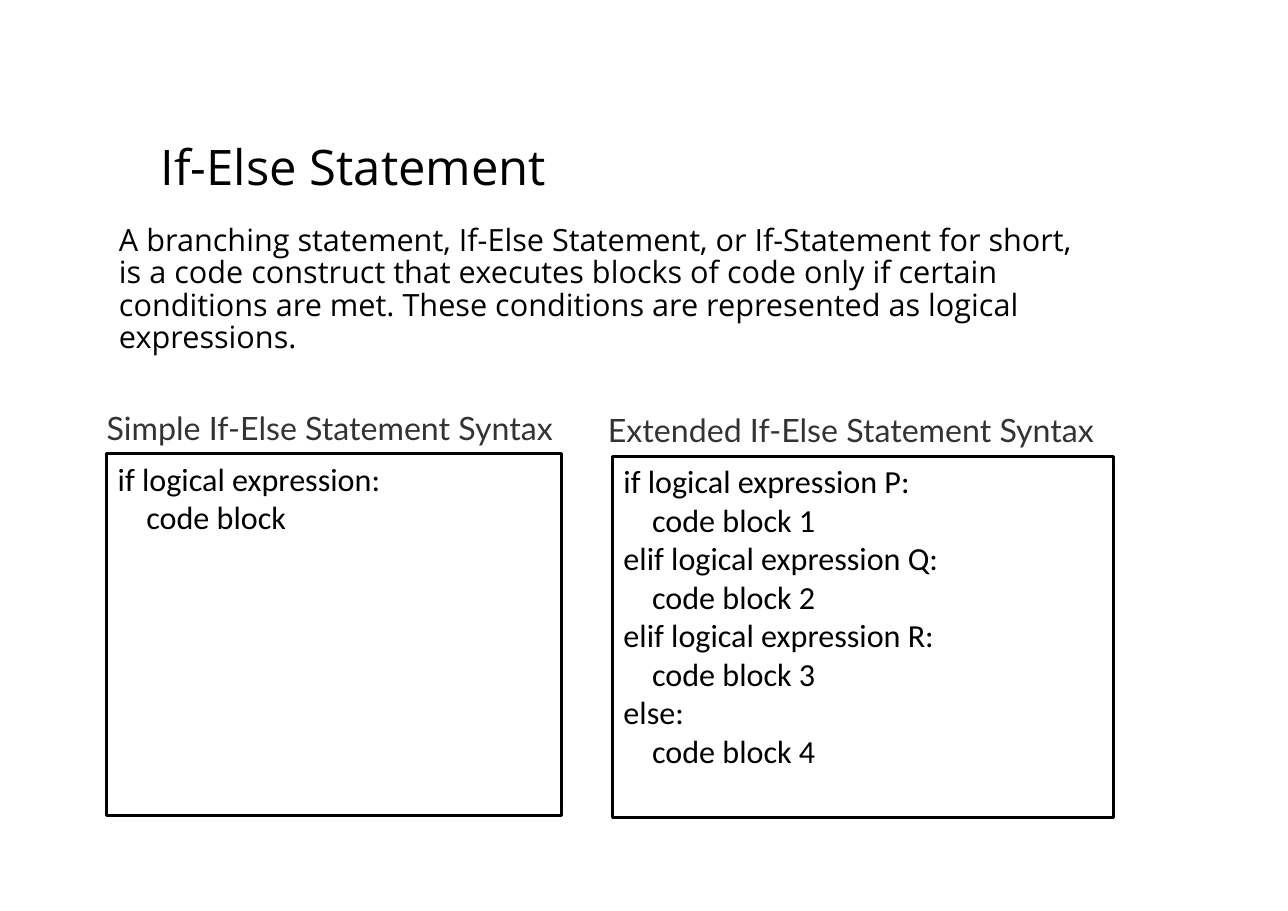
import dataclasses

import pptx
import pptx.dml.color
import pptx.enum.shapes
import pptx.enum.text
import pptx.util


@dataclasses.dataclass(frozen=True)
class Theme:
    """Colours, type and measures in inches."""

    ink: str = "000000"
    caption_ink: str = "333333"
    paper: str = "FFFFFF"
    heading_font: str = "Open Sans"
    code_font: str = "Calibri"
    caption_font: str = "Lato"
    title_size: int = 32
    body_size: int = 20
    code_size: int = 21
    line_width: int = 2
    indent: float = 0.26
    caption_height: float = 0.45
    caption_rise: float = 0.46


THEME = Theme()
ANCHOR = pptx.enum.text.MSO_ANCHOR
WIDTH, HEIGHT = 11.69, 8.27
MARGIN = 0.97
PANEL_HEIGHT = 3.28

SIMPLE_SYNTAX = [("if logical expression:", 0), ("code block", 1)]
EXTENDED_SYNTAX = [
    ("if logical expression P:", 0),
    ("code block 1", 1),
    ("elif logical expression Q:", 0),
    ("code block 2", 1),
    ("elif logical expression R:", 0),
    ("code block 3", 1),
    ("else:", 0),
    ("code block 4", 1),
]
DEFINITION = (
    "A branching statement, If-Else Statement, or If-Statement for short, "
    "is a code construct that executes blocks of code only if certain "
    "conditions are met. These conditions are represented as logical expressions."
)


def set_values(target, values):
    """Set each named attribute of the target."""
    for name, value in values.items():
        setattr(target, name, value)


def color(value):
    """Return a colour object for a hex value."""
    return pptx.dml.color.RGBColor.from_string(value)


def write_lines(shape, lines, font, size, ink, spacing=1.0, **frame_values):
    """Write (text, level) lines into a shape, indenting by level."""
    frame = shape.text_frame
    set_values(frame, {"word_wrap": True, "vertical_anchor": ANCHOR.TOP, **frame_values})
    for index, (text, level) in enumerate(lines):
        paragraph = frame.paragraphs[0] if index == 0 else frame.add_paragraph()
        set_values(paragraph, {
            "alignment": pptx.enum.text.PP_ALIGN.LEFT,
            "line_spacing": spacing,
        })
        if level:
            margin = pptx.util.Inches(level * THEME.indent)
            paragraph._p.get_or_add_pPr().set("marL", str(margin))
        run = paragraph.add_run()
        run.text = text
        set_values(run.font, {"name": font, "size": pptx.util.Pt(size)})
        run.font.color.rgb = color(ink)


def add_text(slide, box, text, font, size, ink, **options):
    """Add a one-paragraph text box."""
    shape = slide.shapes.add_textbox(*map(pptx.util.Inches, box))
    write_lines(shape, [(text, 0)], font, size, ink, **options)


def add_heading(slide, box, text, size, **options):
    """Add title or body text with the wider heading insets."""
    side, end = pptx.util.Inches(0.11), pptx.util.Inches(0.06)
    insets = {"margin_left": side, "margin_right": side,
              "margin_top": end, "margin_bottom": end}
    add_text(slide, box, text, THEME.heading_font, size, THEME.ink, **insets, **options)


def add_syntax_panel(slide, box, caption, caption_shift, lines):
    """Add a framed code panel with its caption above."""
    left, top, width, height = box
    panel = slide.shapes.add_shape(
        pptx.enum.shapes.MSO_SHAPE.RECTANGLE, *map(pptx.util.Inches, box))
    panel.shadow.inherit = False
    panel.fill.solid()
    panel.fill.fore_color.rgb = color(THEME.paper)
    panel.line.color.rgb = color(THEME.ink)
    panel.line.width = pptx.util.Pt(THEME.line_width)
    write_lines(panel, lines, THEME.code_font, THEME.code_size, THEME.ink)
    caption_box = (left - caption_shift, top - THEME.caption_rise,
                   width + 2 * caption_shift, THEME.caption_height)
    add_text(slide, caption_box, caption, THEME.caption_font,
             THEME.code_size, THEME.caption_ink)


def build_statement_slide(presentation):
    """Build the slide on the if-else statement."""
    slide = presentation.slides.add_slide(presentation.slide_layouts[6])
    add_heading(slide, (MARGIN, 1.99, 8.98, 1.38), DEFINITION,
                THEME.body_size, spacing=0.88)
    add_heading(slide, (1.35, 0.82, WIDTH - 1.35, 1.38), "If-Else Statement",
                THEME.title_size, vertical_anchor=ANCHOR.MIDDLE)
    add_syntax_panel(slide, (MARGIN, 4.12, 4.13, PANEL_HEIGHT),
                     "Simple If-Else Statement Syntax", 0.1, SIMPLE_SYNTAX)
    add_syntax_panel(slide, (5.56, 4.14, 4.55, PANEL_HEIGHT),
                     "Extended If-Else Statement Syntax", 0.14, EXTENDED_SYNTAX)


def main():
    """Create and save the presentation."""
    presentation = pptx.Presentation()
    set_values(presentation, {
        "slide_width": pptx.util.Inches(WIDTH),
        "slide_height": pptx.util.Inches(HEIGHT),
    })
    build_statement_slide(presentation)
    presentation.save("out.pptx")


if __name__ == "__main__":
    main()
